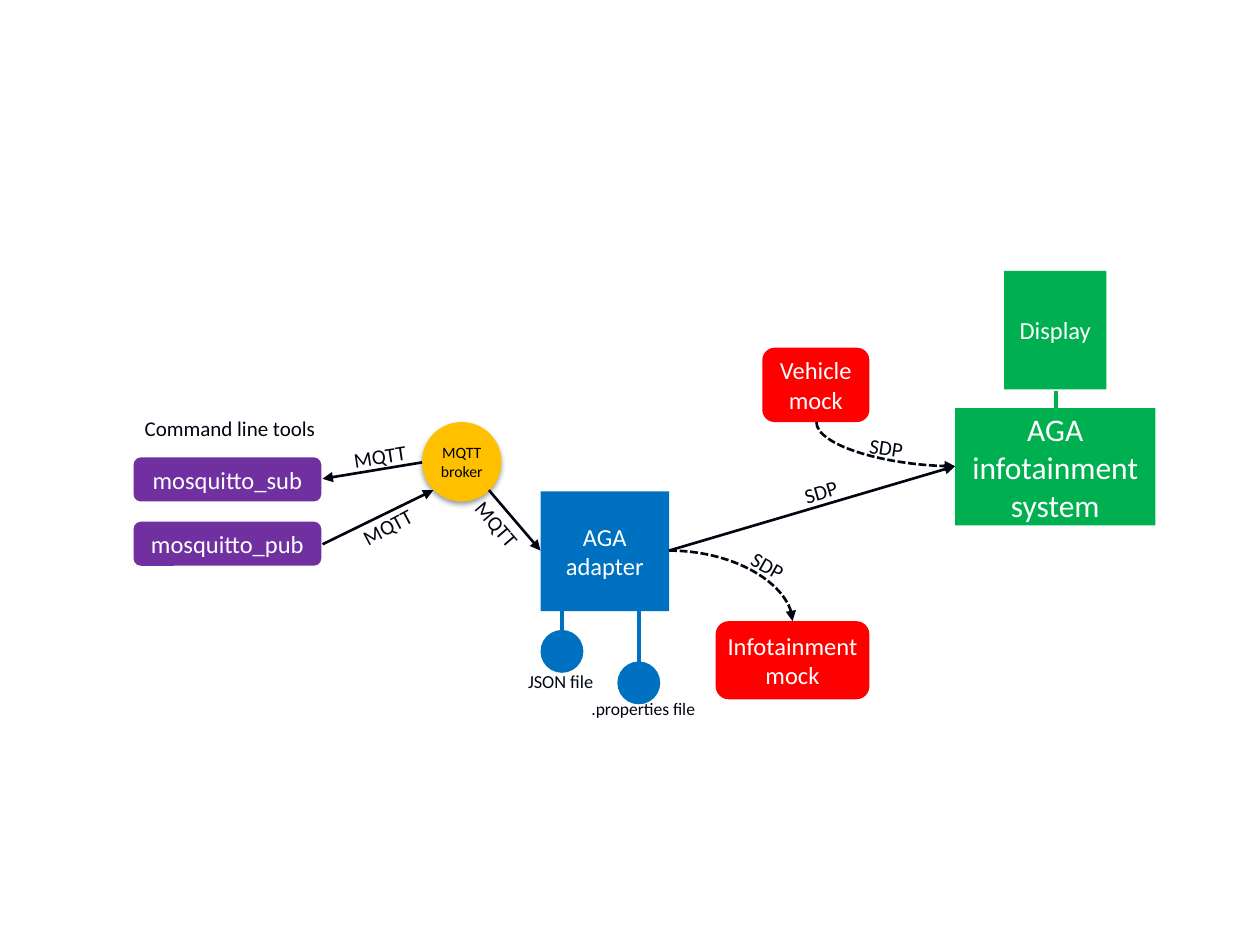
from lxml import etree
from pptx import Presentation
from pptx.dml.color import RGBColor
from pptx.enum.dml import MSO_LINE
from pptx.enum.shapes import MSO_CONNECTOR, MSO_SHAPE
from pptx.enum.text import MSO_ANCHOR, MSO_AUTO_SIZE, PP_ALIGN
from pptx.oxml.ns import qn
from pptx.util import Inches, Pt

RECT = MSO_SHAPE.RECTANGLE
ROUND = MSO_SHAPE.ROUNDED_RECTANGLE
OVAL = MSO_SHAPE.OVAL
LINE = MSO_CONNECTOR.STRAIGHT
CURVE = MSO_CONNECTOR.CURVE
DASH = MSO_LINE.SQUARE_DOT
CENTER = PP_ALIGN.CENTER
MIDDLE = MSO_ANCHOR.MIDDLE
GROW = MSO_AUTO_SIZE.SHAPE_TO_FIT_TEXT

FONT = "Calibri"
INK, WHITE = "000510", "FFFFFF"
GREEN, BLUE, RED = "00B050", "0070C0", "FF0000"
PURPLE, GOLD = "7030A0", "FFC000"
THIN = 0.02


def color(code):
    return RGBColor.from_string(code)


def write(frame, text, size, ink):
    """Put centred text in a frame; a newline becomes a line break."""
    frame.word_wrap = True
    para = frame.paragraphs[0]
    para.alignment = CENTER
    for i, part in enumerate(text.split("\n")):
        if i:
            para.add_line_break()
        run = para.add_run()
        run.text = part
        run.font.name = FONT
        run.font.size = Pt(size)
        run.font.color.rgb = color(ink)


def box(slide, kind, place, fill, text="", size=14, ink=WHITE, inset=None):
    shape = slide.shapes.add_shape(kind, *map(Inches, place))
    shape.shadow.inherit = False
    shape.fill.solid()
    shape.fill.fore_color.rgb = color(fill)
    shape.line.fill.background()
    frame = shape.text_frame
    frame.vertical_anchor = MIDDLE
    if inset is not None:
        frame.margin_left = frame.margin_right = Inches(inset)
        frame.margin_top = frame.margin_bottom = Inches(inset)
    if text:
        write(frame, text, size, ink)
    return shape


def shade(shape):
    """Add a soft shadow below a shape."""
    effects = shape._element.spPr.find(qn("a:effectLst"))
    outer = etree.SubElement(effects, qn("a:outerShdw"), blurRad=str(Pt(3.1)),
                             dist=str(Pt(1.6)), dir="5400000", rotWithShape="0")
    black = etree.SubElement(outer, qn("a:srgbClr"), val="000000")
    etree.SubElement(black, qn("a:alpha"), val="38000")


def label(slide, place, text, size=12, turn=0):
    shape = slide.shapes.add_textbox(*map(Inches, place))
    shape.rotation = turn
    shape.text_frame.auto_size = GROW
    write(shape.text_frame, text, size, INK)


def link(slide, start, end, ink=INK, width=1.5, kind=LINE, head=False):
    wire = slide.shapes.add_connector(kind, *map(Inches, start + end))
    wire.line.color.rgb = color(ink)
    wire.line.width = Pt(width)
    props = wire._element.spPr
    if head:
        etree.SubElement(props.find(qn("a:ln")), qn("a:tailEnd"), type="triangle")
    etree.SubElement(props, qn("a:effectLst"))
    return wire


def arc(slide, start, end, down=False):
    """Draw a dashed quarter curve that leaves sideways, or downwards."""
    if down:
        # A turned and flipped frame has its sides swapped around its centre.
        mid_x, mid_y = (start[0] + end[0]) / 2, (start[1] + end[1]) / 2
        half_w, half_h = (end[1] - start[1]) / 2, (end[0] - start[0]) / 2
        start = (mid_x - half_w, mid_y - half_h)
        end = (mid_x + half_w, mid_y + half_h)
    wire = link(slide, start, end, kind=CURVE, head=True)
    wire.line.dash_style = DASH
    props = wire._element.spPr
    props.find(qn("a:prstGeom")).set("prst", "curvedConnector2")
    if down:
        frame = props.find(qn("a:xfrm"))
        frame.set("rot", "16200000")
        frame.set("flipH", "1")


def main():
    deck = Presentation()
    deck.slide_width, deck.slide_height = Inches(10), Inches(7.5)
    slide = deck.slides.add_slide(deck.slide_layouts[6])

    # Infotainment system and its display
    box(slide, RECT, (7.58, 3.24, 1.59, 0.93), GREEN,
        "AGA infotainment system", 18)
    panel = box(slide, ROUND, (7.97, 2.15, 0.81, 0.94), GREEN, "Display",
                inset=THIN)
    panel.adjustments[0] = 0
    link(slide, (8.38, 3.24), (8.38, 3.1), GREEN, 2)

    # Broker and adapter
    broker = box(slide, OVAL, (3.35, 3.35, 0.63, 0.63), GOLD, "MQTT broker",
                 9, "000000", THIN)
    shade(broker)
    box(slide, RECT, (4.29, 3.9, 1.02, 0.95), BLUE, "AGA\nadapter")

    # Files that hang below the adapter
    for x, y in ((4.29, 5), (4.9, 5.25)):
        box(slide, OVAL, (x, y, 0.34, 0.34), BLUE)
        link(slide, (x + 0.17, 4.77), (x + 0.17, y), BLUE, 2)
    label(slide, (4.07, 5.27, 0.76, 0.27), "JSON file", 10.5)
    label(slide, (4.57, 5.49, 1.07, 0.27), ".properties file", 10)

    # Mocks
    box(slide, ROUND, (5.68, 4.93, 1.22, 0.62), RED, "Infotainment mock",
        inset=THIN)
    box(slide, ROUND, (6.05, 2.76, 0.85, 0.59), RED, "Vehicle mock", inset=THIN)

    # Command line tools
    label(slide, (1.04, 3.25, 1.57, 0.3), "Command line tools")
    for y, name in ((3.63, "mosquitto_sub"), (4.14, "mosquitto_pub")):
        box(slide, ROUND, (1.06, y, 1.49, 0.35), PURPLE, name)

    # Message flow
    for start, end in (((2.56, 4.32), (3.44, 3.89)),
                       ((3.88, 3.89), (4.29, 4.37)),
                       ((3.35, 3.67), (2.56, 3.8)),
                       ((5.31, 4.37), (7.58, 3.7))):
        link(slide, start, end, head=True)
    arc(slide, (6.48, 3.35), (7.58, 3.7), down=True)
    arc(slide, (5.31, 4.37), (6.29, 4.93))

    # Protocol names along the arrows
    for x, y, turn, text in ((3.63, 4.01, 49.3, "MQTT"),
                             (2.76, 4.03, 332, "MQTT"),
                             (2.7, 3.47, 351.5, "MQTT"),
                             (6.2, 3.75, 343.7, "SDP"),
                             (5.78, 4.34, 29.3, "SDP"),
                             (6.72, 3.4, 8.6, "SDP")):
        label(slide, (x, y, 0.63, 0.3), text, turn=turn)

    deck.save("out.pptx")


main()
